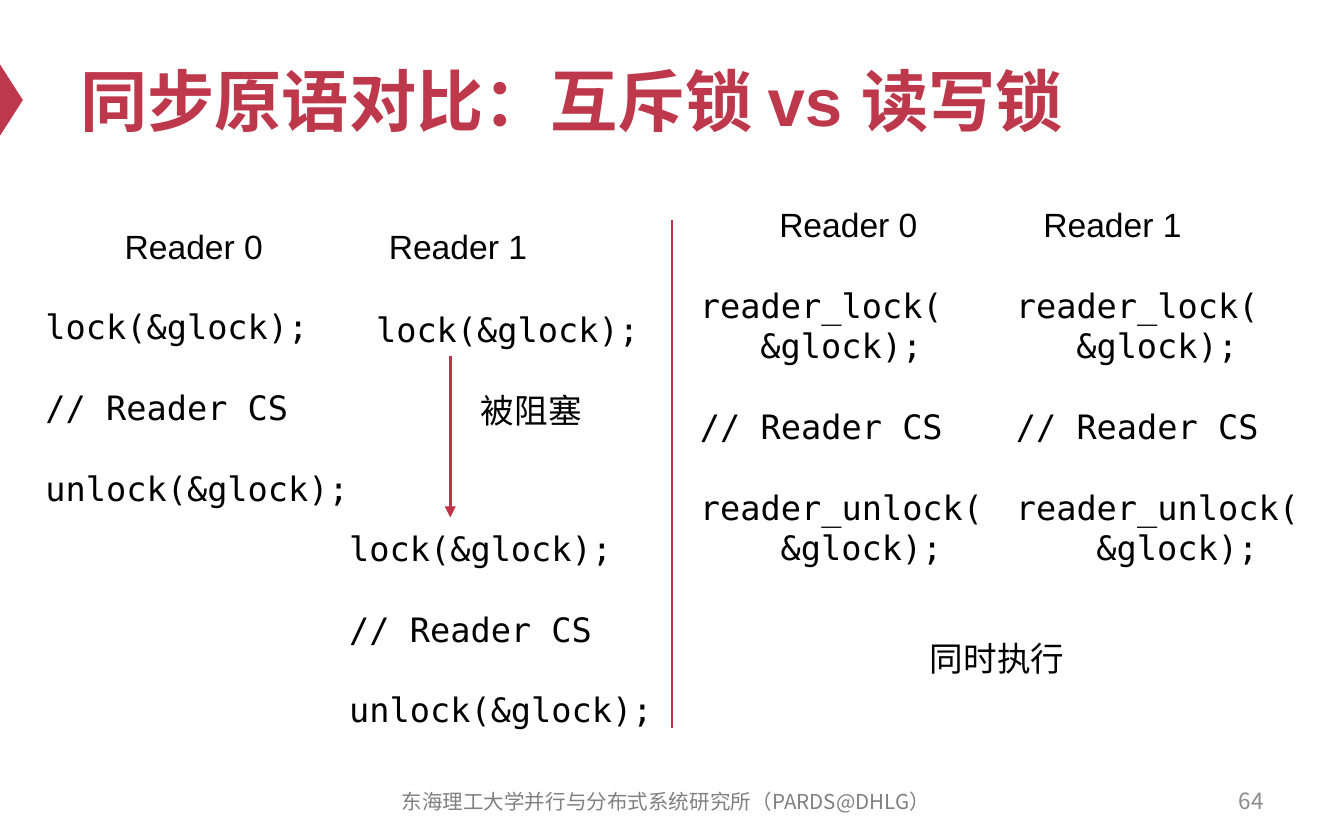
from lxml import etree
from pptx import Presentation
from pptx import util as u
from pptx.dml.color import RGBColor
from pptx.enum import shapes, text
from pptx.oxml import ns

CELL = u.Inches(0.1)
COLUMNS, ROWS = 100, 62.5

CRIMSON = RGBColor(0xBE, 0x38, 0x4B)
RULE_RED = RGBColor(0xBD, 0x33, 0x47)
BLACK = RGBColor(0, 0, 0)
FOOTER_GRAY = RGBColor(0x80, 0x80, 0x80)
NUMBER_GRAY = RGBColor(0x8C, 0x8C, 0x8C)

CJK = "Noto Sans CJK SC"
TITLE = {"name": "Arial", "size": u.Pt(36), "bold": True}
LABEL = {"name": "Arial", "size": u.Pt(18)}
CODE = {"name": "DejaVu Sans Mono", "size": u.Pt(18)}
FOOTER = {"name": CJK, "size": u.Pt(11)}
NUMBER = {"name": CJK, "size": u.Pt(12)}

CHARACTER = u.Inches(0.15)
STEP_GAP = u.Pt(21.6)

MUTEX_STEPS = [["lock(&glock);"], ["// Reader CS"], ["unlock(&glock);"]]
RW_STEPS = [
    ["reader_lock(", (3, "&glock);")],
    ["// Reader CS"],
    ["reader_unlock(", (4, "&glock);")],
]


def cells(*counts):
    return [round(count * CELL) for count in counts]


def add_text(slide, area, steps, style, color=BLACK, wrap=False,
             align=text.PP_ALIGN.LEFT, anchor=text.MSO_ANCHOR.TOP):
    frame = slide.shapes.add_textbox(*cells(*area)).text_frame
    frame_format = {
        "word_wrap": wrap,
        "vertical_anchor": anchor,
        "auto_size": text.MSO_AUTO_SIZE.NONE if wrap
        else text.MSO_AUTO_SIZE.SHAPE_TO_FIT_TEXT,
    }
    for name, value in frame_format.items():
        setattr(frame, name, value)

    lines = [(line, row == 0 and step > 0)
             for step, block in enumerate(steps)
             for row, line in enumerate(block)]
    for position, (line, starts_step) in enumerate(lines):
        indent, wording = line if isinstance(line, tuple) else (0, line)
        paragraph = frame.add_paragraph() if position else frame.paragraphs[0]
        paragraph.alignment = align
        if starts_step:
            paragraph.space_before = STEP_GAP
        if indent:
            properties = paragraph._p.get_or_add_pPr()
            properties.set("marL", str(indent * CHARACTER))
            properties.set("indent", "0")
        run = paragraph.add_run()
        run.text = wording
        for name, value in style.items():
            setattr(run.font, name, value)
        run.font.color.rgb = color
        east_asian = etree.SubElement(run.font._element, ns.qn("a:ea"))
        east_asian.set("typeface", CJK)


def add_rule(slide, start, end, arrow=False):
    rule = slide.shapes.add_connector(
        shapes.MSO_CONNECTOR.STRAIGHT, *cells(*start, *end))
    rule.line.color.rgb = RULE_RED
    rule.line.width = u.Pt(1.5)
    if arrow:
        head = etree.SubElement(rule.line._get_or_add_ln(), ns.qn("a:tailEnd"))
        head.set("type", "triangle")
    etree.SubElement(rule._element.spPr, ns.qn("a:effectLst"))


def add_title_marker(slide):
    marker = slide.shapes.add_shape(
        shapes.MSO_SHAPE.ISOSCELES_TRIANGLE, *cells(-1.8, 6.6, 5.3, 1.7))
    marker.rotation = 90
    marker.shadow.inherit = False
    marker.fill.solid()
    marker.fill.fore_color.rgb = CRIMSON
    marker.line.fill.background()


def add_reader_headings(slide, left, top):
    for reader in range(2):
        add_text(slide, (left + 19.65 * reader, top, 12.4, 4),
                 [[f"Reader {reader}"]], LABEL)


def add_mutex_side(slide):
    add_reader_headings(slide, 8.3, 16.35)
    for left, top in ((2.4, 22.3), (25, 38.8)):
        add_text(slide, (left, top, 24.6, 16.2), MUTEX_STEPS, CODE)
    add_text(slide, (27, 22.5, 21.6, 4), MUTEX_STEPS[:1], CODE)
    add_rule(slide, (33.5, 26.5), (33.5, 38.5), arrow=True)
    add_text(slide, (34.8, 28.5, 9.6, 4), [["被阻塞"]], LABEL)


def add_rw_side(slide):
    add_reader_headings(slide, 57, 14.7)
    for reader in range(2):
        add_text(slide, (51.1 + 23.5 * reader, 20.7, 23.1, 22.2),
                 RW_STEPS, CODE)
    add_text(slide, (68.2, 47, 12.1, 4), [["同时执行"]], LABEL)


def add_footer(slide):
    middle = text.MSO_ANCHOR.MIDDLE
    add_text(slide, (27.9, 58, 43.3, 3.3),
             [["东海理工大学并行与分布式系统研究所（PARDS@DHLG）"]],
             FOOTER, FOOTER_GRAY, True, text.PP_ALIGN.CENTER, middle)
    add_text(slide, (71.7, 57.9, 23.3, 3.3), [["64"]],
             NUMBER, NUMBER_GRAY, True, text.PP_ALIGN.RIGHT, middle)


def main():
    deck = Presentation()
    deck.slide_width, deck.slide_height = cells(COLUMNS, ROWS)
    slide = deck.slides.add_slide(deck.slide_layouts[6])

    add_title_marker(slide)
    add_text(slide, (5, 2.5, 90, 9.8), [["同步原语对比：互斥锁 vs 读写锁"]],
             TITLE, CRIMSON, True, anchor=text.MSO_ANCHOR.MIDDLE)
    add_footer(slide)
    add_rule(slide, (COLUMNS / 2, 54.2), (COLUMNS / 2, 16.4))
    add_mutex_side(slide)
    add_rw_side(slide)

    deck.save("out.pptx")


if __name__ == "__main__":
    main()
